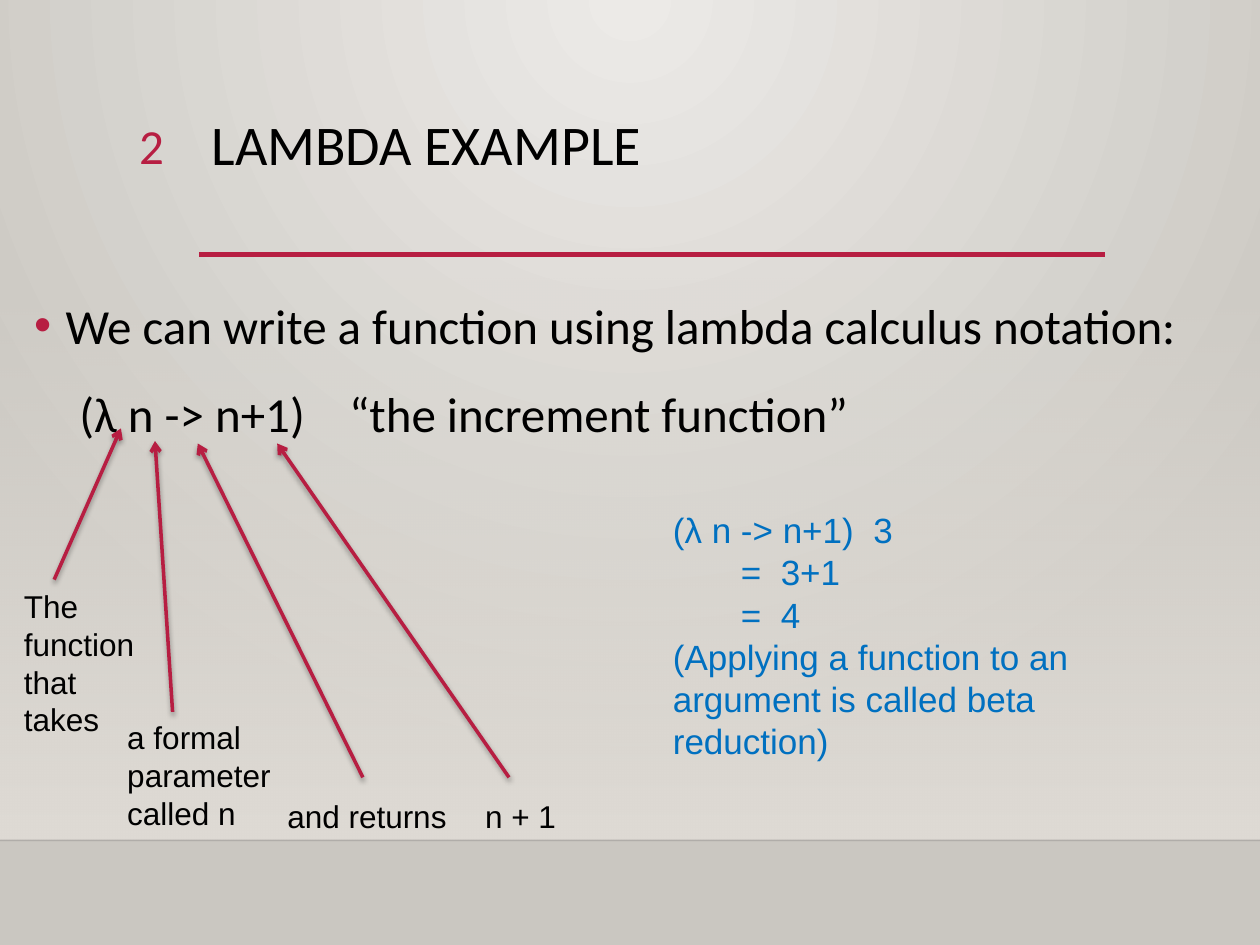
from dataclasses import dataclass

import pptx
import pptx.dml.color
import pptx.enum.shapes
import pptx.enum.text
import pptx.oxml
import pptx.oxml.ns
import pptx.util

Inches, Pt = pptx.util.Inches, pptx.util.Pt
Anchor, Align = pptx.enum.text.MSO_ANCHOR, pptx.enum.text.PP_ALIGN
NS = pptx.oxml.ns.nsdecls("a")
WIDTH, HEIGHT = 10, 7.5
RED, BLACK, BLUE = "B71E42", "000000", "0070C0"
PANEL_TOP, PANEL_BOTTOM = 2.2, 6.67
THIN_INSETS = dict.fromkeys(("margin_left", "margin_right", "margin_top", "margin_bottom"), Inches(0.05))


@dataclass
class Label:
    text: str
    box: tuple[float, float, float, float]
    start: tuple[float, float]
    end: tuple[float, float]


LABELS = [
    Label("The function that takes", (0.14, 4.61, 1.04, 1.31), (0.43, 4.6), (0.96, 3.4)),
    Label("a formal parameter called n", (0.96, 5.65, 1.31, 1.01), (1.37, 5.65), (1.23, 3.5)),
    Label("and returns", (2.23, 6.28, 1.39, 0.4), (2.88, 6.17), (1.57, 3.52)),
    Label("n + 1", (3.8, 6.28, 0.69, 0.4), (4.04, 6.17), (2.2, 3.52)),
]


def rgb(color: str):
    return pptx.dml.color.RGBColor.from_string(color)


def xml(markup: str):
    """Parse one DrawingML element; its first tag name gets the namespace."""
    tag, rest = markup[1:].split(" ", 1)
    return pptx.oxml.parse_xml(f"<{tag} {NS} {rest}")


def apply(target, values: dict) -> None:
    for name, value in values.items():
        setattr(target, name, value)


def set_gradient(owner, stops: list[tuple[int, str, int]], shade: str) -> None:
    """Give the gradient fill inside owner its stops (percent, color, opacity)."""
    old = owner.find(".//" + pptx.oxml.ns.qn("a:gradFill"))
    marks = "".join(
        f'<a:gs pos="{pos * 1000}"><a:srgbClr val="{color}">'
        f'<a:alpha val="{opacity * 1000}"/></a:srgbClr></a:gs>'
        for pos, color, opacity in stops
    )
    new = xml(f'<a:gradFill rotWithShape="1"><a:gsLst>{marks}</a:gsLst>{shade}</a:gradFill>')
    old.getparent().replace(old, new)


def add_line(shapes, start, end, color: str, width: float, effects: str = ""):
    points = [Inches(v) for v in (*start, *end)]
    line = shapes.add_connector(pptx.enum.shapes.MSO_CONNECTOR.STRAIGHT, *points)
    line.line.color.rgb = rgb(color)
    line.line.width = Pt(width)
    line._element.spPr.append(xml(f"<a:effectLst >{effects}</a:effectLst>"))
    return line


def fill_text(shape, lines: list[str], font: str, size: float, color: str,
              frame: dict | None = None, paragraph: dict | None = None):
    text = shape.text_frame
    apply(text, {"word_wrap": True, "auto_size": pptx.enum.text.MSO_AUTO_SIZE.NONE,
                 "vertical_anchor": Anchor.TOP, **(frame or {})})
    text.text = "\n".join(lines)
    for item in text.paragraphs:
        apply(item, {"alignment": Align.LEFT, **(paragraph or {})})
        for run in item.runs:
            apply(run.font, {"name": font, "size": Pt(size)})
            run.font.color.rgb = rgb(color)
    return text.paragraphs


def place(shape, box) -> None:
    apply(shape, dict(zip(("left", "top", "width", "height"), map(Inches, box))))


def add_text(shapes, box, *args, **formats):
    return fill_text(shapes.add_textbox(*map(Inches, box)), *args, **formats)


def indent(paragraph, left: float, first: float, extra: str) -> None:
    """Set indents in inches and the bullet or tab stops."""
    props = paragraph._p.get_or_add_pPr()
    props.set("marL", str(Inches(left)))
    props.set("indent", str(Inches(first)))
    for element in xml(f"<a:pPr >{extra}</a:pPr>"):
        props.append(element)


presentation = pptx.Presentation()
presentation.slide_width, presentation.slide_height = Inches(WIDTH), Inches(HEIGHT)
slide = presentation.slides.add_slide(presentation.slide_layouts[1])
shapes = slide.shapes
title, body = shapes.title, slide.placeholders[1]

# Background, panel and rules
slide.background.fill.gradient()
set_gradient(slide._element, [(0, "ECEAE7", 100), (100, "CAC7C1", 100)],
             '<a:path path="circle"><a:fillToRect l="43000" t="0" r="43000" b="100000"/></a:path>')
panel = shapes.add_shape(pptx.enum.shapes.MSO_SHAPE.RECTANGLE, 0, Inches(PANEL_TOP),
                         Inches(WIDTH), Inches(PANEL_BOTTOM - PANEL_TOP))
panel.shadow.inherit = False
panel.line.fill.background()
panel.fill.gradient()
set_gradient(panel._element, [(0, "DFDBD5", 0), (100, "DFDBD5", 100)], '<a:lin ang="5400000" scaled="0"/>')
floor = add_line(shapes, (0, PANEL_BOTTOM), (WIDTH, PANEL_BOTTOM), "000001", 1)
floor_color = floor._element.spPr.find(".//" + pptx.oxml.ns.qn("a:ln")).find(".//" + pptx.oxml.ns.qn("a:srgbClr"))
floor_color.append(xml('<a:alpha val="20000"/>'))
add_line(shapes, (1.58, 2.02), (8.77, 2.02), RED, 2.5)

# Title, body and slide number, in front of the panel
for holder in (title, body):
    shapes._spTree.append(holder._element)
place(title, (1.58, 0.88, 7.19, 1.15))
fill_text(title, ["LAMBDA EXAMPLE"], "Calibri", 32, BLACK, paragraph={"line_spacing": 0.9})
place(body, (0.17, PANEL_TOP, 9.33, 4.06))
statement, formula = fill_text(
    body,
    ["We can write a function using lambda calculus notation:",
     "(λ n -> n+1)\t“the increment function”"],
    "Calibri", 28, BLACK, paragraph={"line_spacing": 1.2, "space_before": Pt(10)})
indent(statement, 0.25, -0.25,
       f'<a:buClr><a:srgbClr val="{RED}"/></a:buClr><a:buFont typeface="Arial"/><a:buChar char="•"/>')
indent(formula, 0, 0.36, f'<a:buNone/><a:tabLst><a:tab pos="{Inches(3)}" algn="l"/></a:tabLst>')
add_text(shapes, (0.53, 0.87, 0.87, 0.55), ["2"], "Calibri", 28, RED, paragraph={"alignment": Align.RIGHT})

# Labels with arrows to the parts of the formula
SHADOW = (f'<a:outerShdw blurRad="{Pt(3)}" dist="{Pt(1.8)}" dir="5400000" rotWithShape="0">'
          f'<a:srgbClr val="{BLACK}"><a:alpha val="35000"/></a:srgbClr></a:outerShdw>')
for label in LABELS:
    group = shapes.add_group_shape()
    arrow = add_line(group.shapes, label.start, label.end, RED, 2, SHADOW)
    arrow.line._get_or_add_ln().append(xml('<a:tailEnd type="arrow"/>'))
    add_text(group.shapes, label.box, [label.text], "Arial", 18, BLACK, frame=THIN_INSETS)

# Worked application
steps = add_text(
    shapes, (5.29, 3.99, 3.32, 2.12),
    ["(λ n -> n+1)  3", "=  3+1", "=  4", "(Applying a function to an argument is called beta reduction)"],
    "Arial", 20, BLUE, frame=THIN_INSETS)
for step in steps[1:3]:
    indent(step, 0, 0.54, "")

presentation.save("out.pptx")
